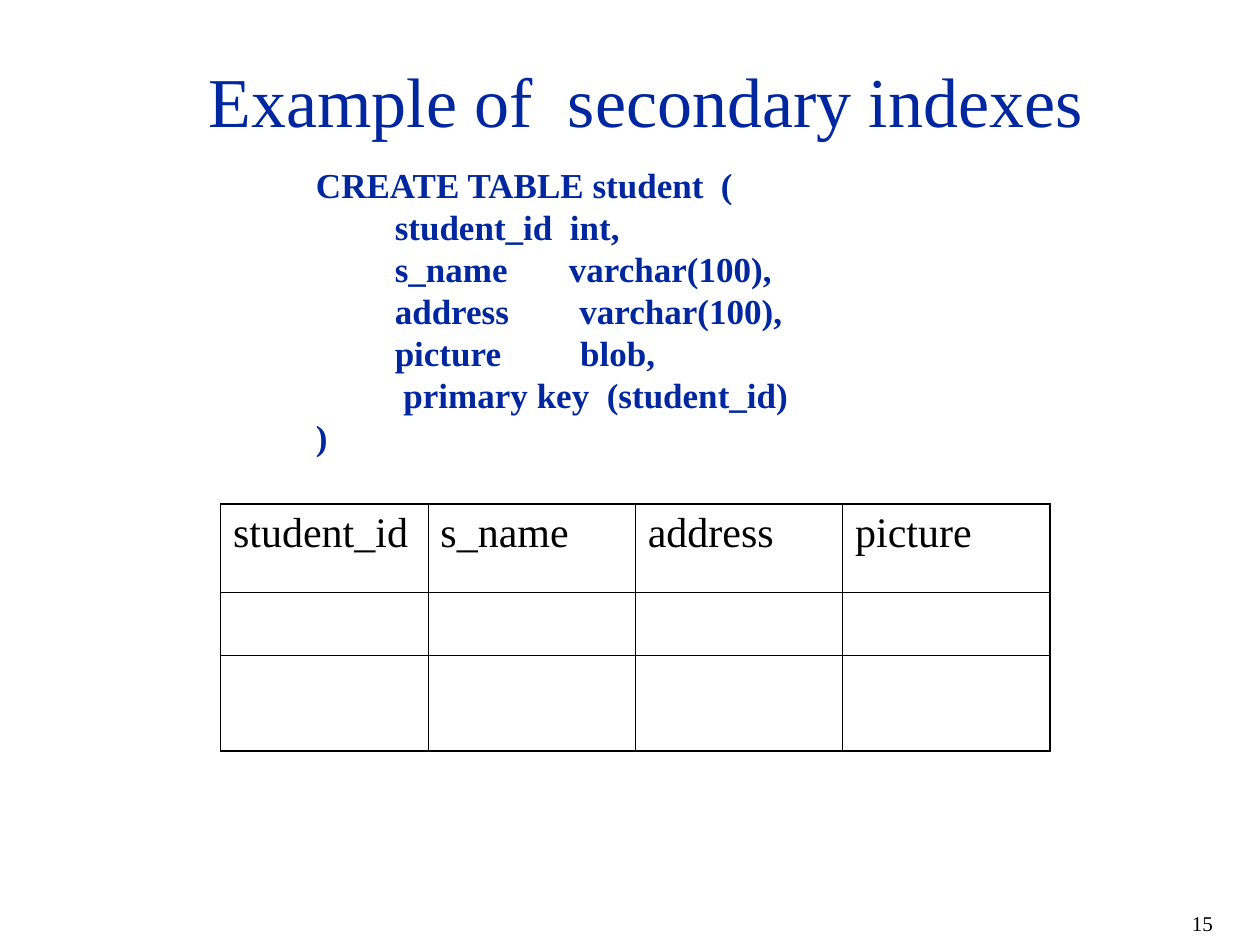
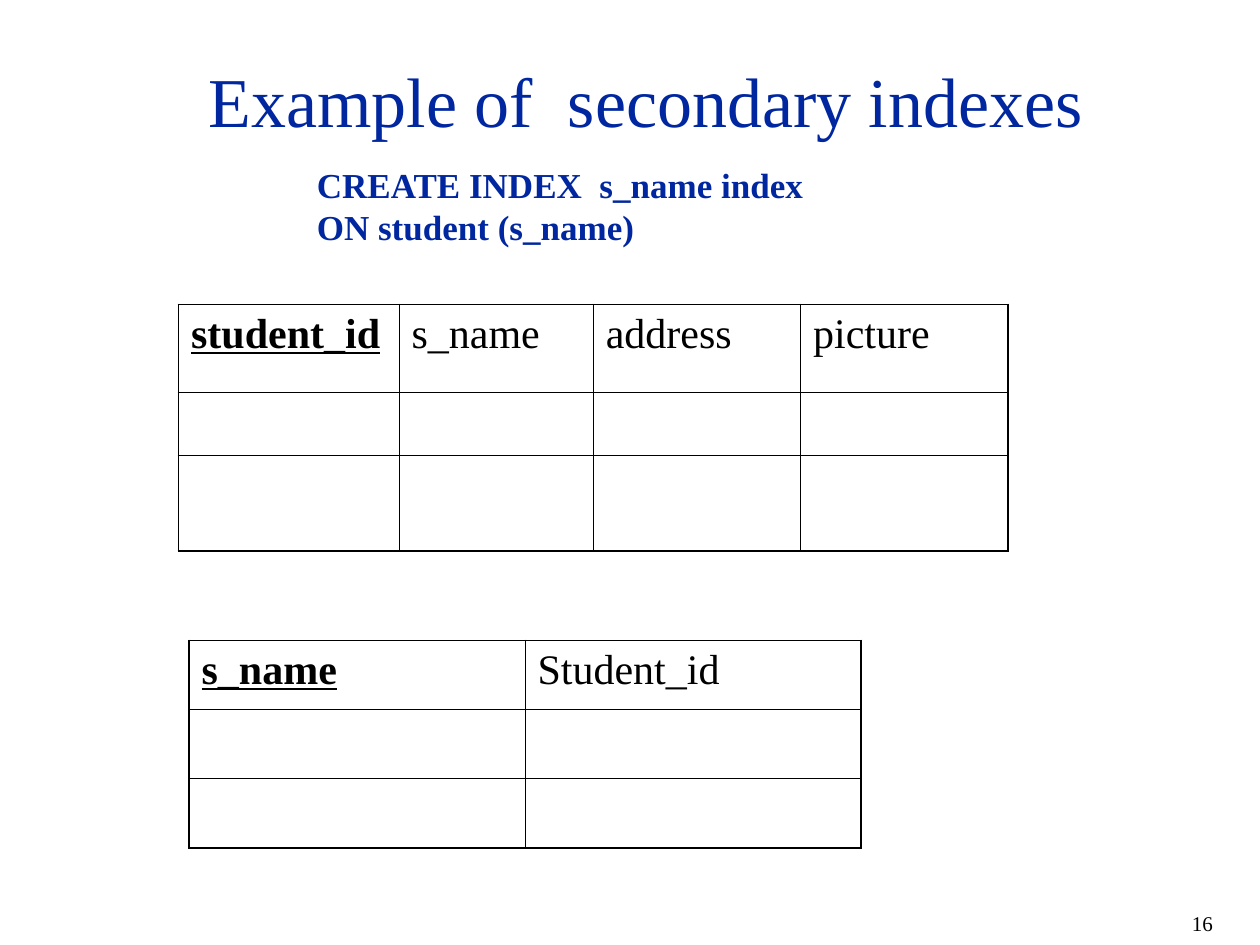
from dataclasses import dataclass

from lxml.etree import SubElement
from pptx import Presentation
from pptx.dml.color import RGBColor
from pptx.enum.text import MSO_ANCHOR, PP_ALIGN
from pptx.oxml.ns import qn
from pptx.slide import Slide
from pptx.table import _Cell as Cell
from pptx.text.text import _Paragraph as Paragraph
from pptx.util import Pt


@dataclass(frozen=True)
class Theme:
    font: str = "Times New Roman"
    accent: str = "00279F"
    ink: str = "000000"
    title_size: float = 40
    header_size: float = 24
    code_size: float = 20
    number_size: float = 12
    outer_line: float = 1.08
    inner_line: float = 0.45


@dataclass(frozen=True)
class Box:
    left: float
    top: float
    width: float
    height: float


@dataclass(frozen=True)
class CodeLine:
    text: str
    tab_stops: tuple[float, ...] = ()


@dataclass(frozen=True)
class Relation:
    left: float
    top: float
    columns: dict[str, float]
    row_heights: tuple[float, ...]
    key: str = ""


@dataclass(frozen=True)
class Example:
    number: int
    code_box: Box
    code: tuple[CodeLine, ...]
    relations: tuple[Relation, ...]


THEME = Theme()
TITLE = "Example of  secondary indexes"
TITLE_BOX = Box(72, 24, 594, 66)
NUMBER_BOX = Box(674, 517, 65, 21.5)
INDENT = 45
STUDENT_ROWS = (50.5, 36, 54.5)
INDEX_ROWS = (39.5,) * 3

EXAMPLES = (
    Example(
        15,
        Box(173.5, 90, 288, 175.5),
        (
            CodeLine("CREATE TABLE student  ("),
            CodeLine("\tstudent_id  int,", (INDENT,)),
            CodeLine("\ts_name\tvarchar(100),", (INDENT, 144.5)),
            CodeLine("\taddress\tvarchar(100),", (INDENT, 150.5)),
            CodeLine("\tpicture\tblob,", (INDENT, 151)),
            CodeLine("\tprimary key  (student_id)", (INDENT + 5,)),
            CodeLine(")"),
        ),
        (
            Relation(
                126, 288,
                dict.fromkeys(("student_id", "s_name", "address", "picture"), 118.5),
                STUDENT_ROWS,
            ),
        ),
    ),
    Example(
        16,
        Box(174, 90, 299, 55.5),
        (CodeLine("CREATE INDEX  s_name index"), CodeLine("ON student (s_name)")),
        (
            Relation(
                102, 174,
                {"student_id": 126, "s_name": 111, "address": 118.5, "picture": 118.5},
                STUDENT_ROWS, "student_id",
            ),
            Relation(
                108, 366, {"s_name": 192, "Student_id": 192}, INDEX_ROWS, "s_name"
            ),
        ),
    ),
)


def style(paragraph: Paragraph, size: float, color: str, bold: bool = False) -> None:
    font = paragraph.font
    font.name, font.size, font.bold = THEME.font, Pt(size), bold
    font.color.rgb = RGBColor.from_string(color)


def set_tab_stops(paragraph: Paragraph, stops: tuple[float, ...]) -> None:
    properties = paragraph._p.get_or_add_pPr()
    tab_list = properties.makeelement(qn("a:tabLst"))
    for stop in stops:
        SubElement(tab_list, qn("a:tab"), pos=str(Pt(stop)), algn="l")
    properties.insert(0, tab_list)


def add_text(
    slide: Slide, box: Box, lines: tuple[CodeLine, ...], size: float, color: str,
    bold: bool = False, align: PP_ALIGN = PP_ALIGN.LEFT,
    anchor: MSO_ANCHOR = MSO_ANCHOR.TOP,
) -> None:
    frame = slide.shapes.add_textbox(
        Pt(box.left), Pt(box.top), Pt(box.width), Pt(box.height)
    ).text_frame
    frame.word_wrap = True
    frame.vertical_anchor = anchor
    for index, line in enumerate(lines):
        paragraph = frame.add_paragraph() if index else frame.paragraphs[0]
        paragraph.text = line.text
        paragraph.alignment = align
        style(paragraph, size, color, bold)
        if line.tab_stops:
            set_tab_stops(paragraph, line.tab_stops)


def set_borders(cell: Cell, outer_sides: dict[str, bool]) -> None:
    """Draw each side, heavier where it lies on the table's edge."""
    properties = cell._tc.get_or_add_tcPr()
    for side, is_outer in outer_sides.items():
        width = THEME.outer_line if is_outer else THEME.inner_line
        line = SubElement(properties, qn(f"a:ln{side}"), w=str(Pt(width)))
        fill = SubElement(line, qn("a:solidFill"))
        SubElement(fill, qn("a:srgbClr"), val=THEME.ink)


def add_relation(slide: Slide, relation: Relation) -> None:
    headings, widths = tuple(relation.columns), tuple(relation.columns.values())
    heights = relation.row_heights
    table = slide.shapes.add_table(
        len(heights), len(widths), Pt(relation.left), Pt(relation.top),
        Pt(sum(widths)), Pt(sum(heights)),
    ).table
    table.first_row = table.horz_banding = False
    for column, width in zip(table.columns, widths):
        column.width = Pt(width)
    for row_index, (row, height) in enumerate(zip(table.rows, heights)):
        row.height = Pt(height)
        for column_index, cell in enumerate(row.cells):
            set_borders(cell, {
                "L": column_index == 0,
                "R": column_index == len(widths) - 1,
                "T": row_index == 0,
                "B": row_index == len(heights) - 1,
            })
            cell.fill.background()
    for column_index, heading in enumerate(headings):
        cell = table.cell(0, column_index)
        cell.text = heading
        paragraph = cell.text_frame.paragraphs[0]
        paragraph.space_before = Pt(6)
        is_key = heading == relation.key
        style(paragraph, THEME.header_size, THEME.ink, is_key)
        paragraph.font.underline = is_key


def add_example(slide: Slide, example: Example) -> None:
    add_text(slide, NUMBER_BOX, (CodeLine(str(example.number)),),
             THEME.number_size, THEME.ink)
    add_text(slide, TITLE_BOX, (CodeLine(TITLE),), THEME.title_size, THEME.accent,
             align=PP_ALIGN.CENTER, anchor=MSO_ANCHOR.MIDDLE)
    add_text(slide, example.code_box, example.code, THEME.code_size, THEME.accent,
             bold=True)
    for relation in example.relations:
        add_relation(slide, relation)


def main() -> None:
    deck = Presentation()
    deck.slide_width, deck.slide_height = Pt(720), Pt(540)
    blank = deck.slide_layouts[6]
    for example in EXAMPLES:
        add_example(deck.slides.add_slide(blank), example)
    deck.save("out.pptx")


if __name__ == "__main__":
    main()
